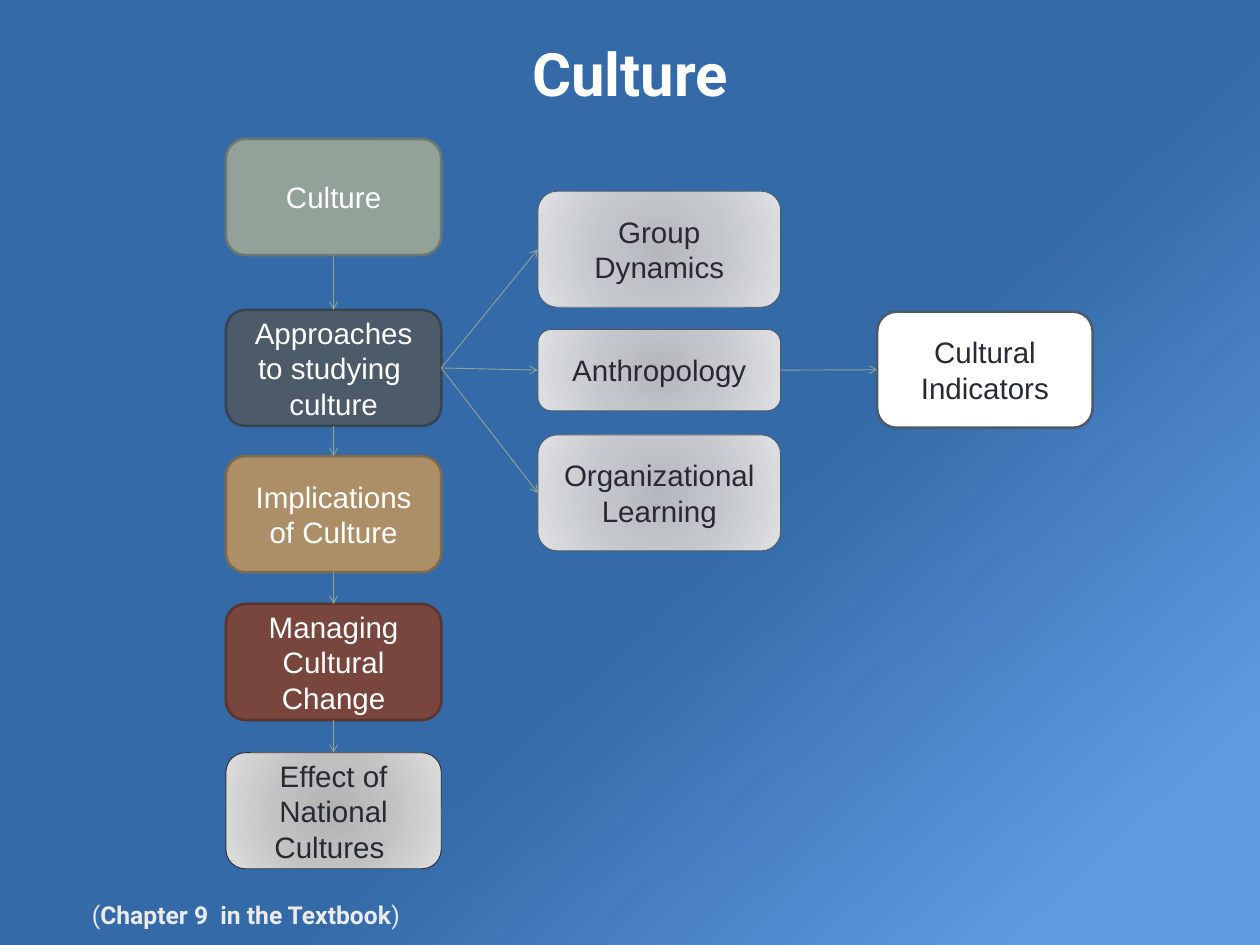
from lxml import etree
from pptx import Presentation
from pptx.dml.color import RGBColor
from pptx.enum.shapes import MSO_CONNECTOR, MSO_SHAPE
from pptx.enum.text import MSO_ANCHOR, PP_ALIGN
from pptx.oxml import parse_xml
from pptx.oxml.ns import nsdecls, qn
from pptx.util import Inches, Pt

CENTER = PP_ALIGN.CENTER
MIDDLE = MSO_ANCHOR.MIDDLE
ROUNDED = MSO_SHAPE.ROUNDED_RECTANGLE
STRAIGHT = MSO_CONNECTOR.STRAIGHT
TOP, LEFT, BOTTOM, RIGHT = range(4)

COLORS = {
    "white": "FFFFFF", "ink": "292934", "footer": "EBEBEB",
    "sage": "93A299", "sage edge": "6D7871",
    "slate": "4C5A6A", "slate edge": "38434E",
    "tan": "AD8F67", "tan edge": "806A4C",
    "brick": "79463D", "brick edge": "5A342D",
}
BACKGROUND = [(57, "336AA7"), (90, "619AE3")]
GRADIENTS = {
    "gray": [(0, "B2B2B3"), (45, "C1C1C2"), (100, "DDDDDE")],
    "mist": [(0, "B4B7BC"), (45, "C3C7CB"), (100, "DFE0E3")],
}
LINEAR = '<a:lin ang="2820000" scaled="0"/>'
RADIAL = ('<a:path path="circle">'
          '<a:fillToRect l="100000" t="100000" r="100000" b="100000"/></a:path>')


def color(name):
    return RGBColor.from_string(COLORS[name])


def set_gradient(fill, owner, stops, direction):
    """Give the fill, which belongs to the owner element, any number of stops."""
    fill.gradient()
    marks = "".join(f'<a:gs pos="{share * 1000}"><a:srgbClr val="{value}"/></a:gs>'
                    for share, value in stops)
    old = owner.find(".//" + qn("a:gradFill"))
    old.getparent().replace(old, parse_xml(
        f'<a:gradFill {nsdecls("a")} rotWithShape="1">'
        f"<a:gsLst>{marks}</a:gsLst>{direction}</a:gradFill>"))


class CulturePage:
    """Style and current slide; lengths are on a grid of 100 columns and 100 rows."""

    def __init__(self, deck):
        self.column = deck.slide_width / 100
        self.row = deck.slide_height / 100
        self.page = deck.slides.add_slide(deck.slide_layouts[5])
        set_gradient(self.page.background.fill, self.page.element, BACKGROUND, LINEAR)

    def area(self, left, top, width, height):
        return (round(left * self.column), round(top * self.row),
                round(width * self.column), round(height * self.row))

    def style(self, para, name, size, ink):
        para.alignment = CENTER
        para.font.name = name
        para.font.size = Pt(size)
        para.font.color.rgb = color(ink)

    def title(self, text, *place):
        box = self.page.shapes.title
        box.left, box.top, box.width, box.height = self.area(*place)
        frame = box.text_frame
        frame.text = text
        frame.vertical_anchor = MIDDLE
        frame.margin_left = frame.margin_right = Inches(0.06)
        frame.margin_top = frame.margin_bottom = Inches(0.06)
        self.style(frame.paragraphs[0], "Roboto", 48.6, "white")
        frame.paragraphs[0].font.bold = True

    def footer(self, parts, *place):
        """Write (text, bold) parts on one line."""
        frame = self.page.shapes.add_textbox(*self.area(*place)).text_frame
        frame.word_wrap = True
        para = frame.paragraphs[0]
        self.style(para, "Roboto", 20, "footer")
        for text, bold in parts:
            span = para.add_run()
            span.text = text
            span.font.bold = bold

    def box(self, text, fill, edge, ink, *place):
        box = self.page.shapes.add_shape(ROUNDED, *self.area(*place))
        box.shadow.inherit = False
        if fill in GRADIENTS:
            set_gradient(box.fill, box.element, GRADIENTS[fill], RADIAL)
        else:
            box.fill.solid()
            box.fill.fore_color.rgb = color(fill)
        box.line.color.rgb = color(edge)
        box.line.width = Pt(0.75 if fill in GRADIENTS else 2.08)
        frame = box.text_frame
        frame.word_wrap = True
        frame.vertical_anchor = MIDDLE
        frame.text = text
        self.style(frame.paragraphs[0], "Arial", 24, ink)
        return box

    def arrow(self, start, start_side, end, end_side):
        arrow = self.page.shapes.add_connector(STRAIGHT, 0, 0, 0, 0)
        arrow.begin_connect(start, start_side)
        arrow.end_connect(end, end_side)
        arrow.line.color.rgb = color("sage")
        arrow.line.width = Pt(0.75)
        properties = arrow.element.spPr
        etree.SubElement(properties.find(qn("a:ln")), qn("a:tailEnd"), type="arrow")
        etree.SubElement(properties, qn("a:effectLst"))


def main():
    deck = Presentation()
    deck.slide_width, deck.slide_height = Inches(14.22), Inches(10.67)
    slide = CulturePage(deck)
    slide.title("Culture", 5.84, 3.94, 88.33, 7.4)
    slide.footer([("(", False), ("Chapter 9  in the Textbook", True), (")", False)],
                 1.13, 94.75, 36.78, 4.12)

    width, height = 17.09, 12.28
    topics = [
        slide.box(text, fill, edge, ink, 17.93, top, width, height)
        for text, fill, edge, ink, top in [
            ("Culture", "sage", "sage edge", "white", 14.71),
            ("Approaches to studying  culture", "slate", "slate edge", "white", 32.8),
            ("Implications of Culture", "tan", "tan edge", "white", 48.27),
            ("Managing Cultural Change", "brick", "brick edge", "white", 63.92),
            ("Effect of National Cultures ", "gray", "ink", "ink", 79.66),
        ]]
    approaches = [
        slide.box(text, "mist", "slate", "ink", 42.69, top, 19.27, tall)
        for text, top, tall in [
            ("Group Dynamics", 20.24, height),
            ("Anthropology", 34.86, 8.62),
            ("Organizational Learning", 46.02, height),
        ]]
    indicators = slide.box("Cultural Indicators", "white", "slate", "ink",
                           69.62, 32.99, width, height)

    for upper, lower in zip(topics, topics[1:]):
        slide.arrow(upper, BOTTOM, lower, TOP)
    for approach in approaches:
        slide.arrow(topics[1], RIGHT, approach, LEFT)
    slide.arrow(approaches[1], RIGHT, indicators, LEFT)
    deck.save("out.pptx")


if __name__ == "__main__":
    main()
